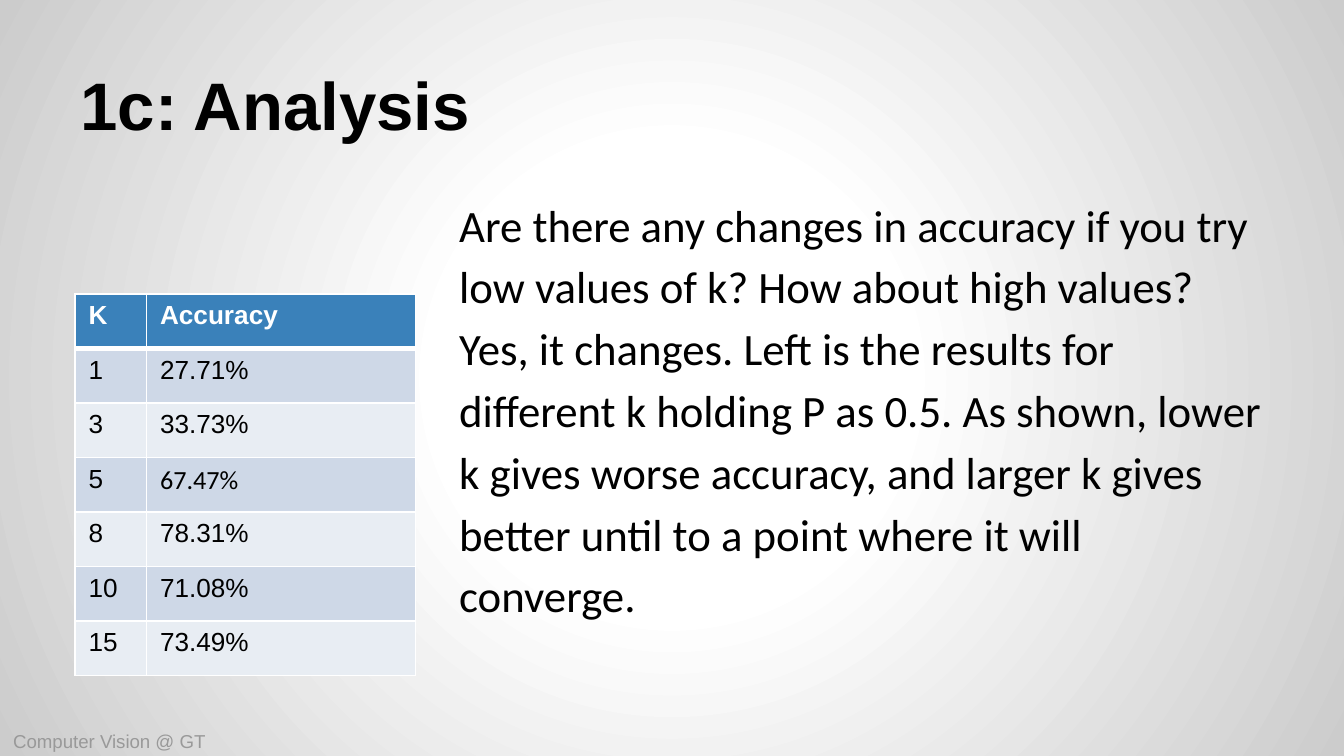
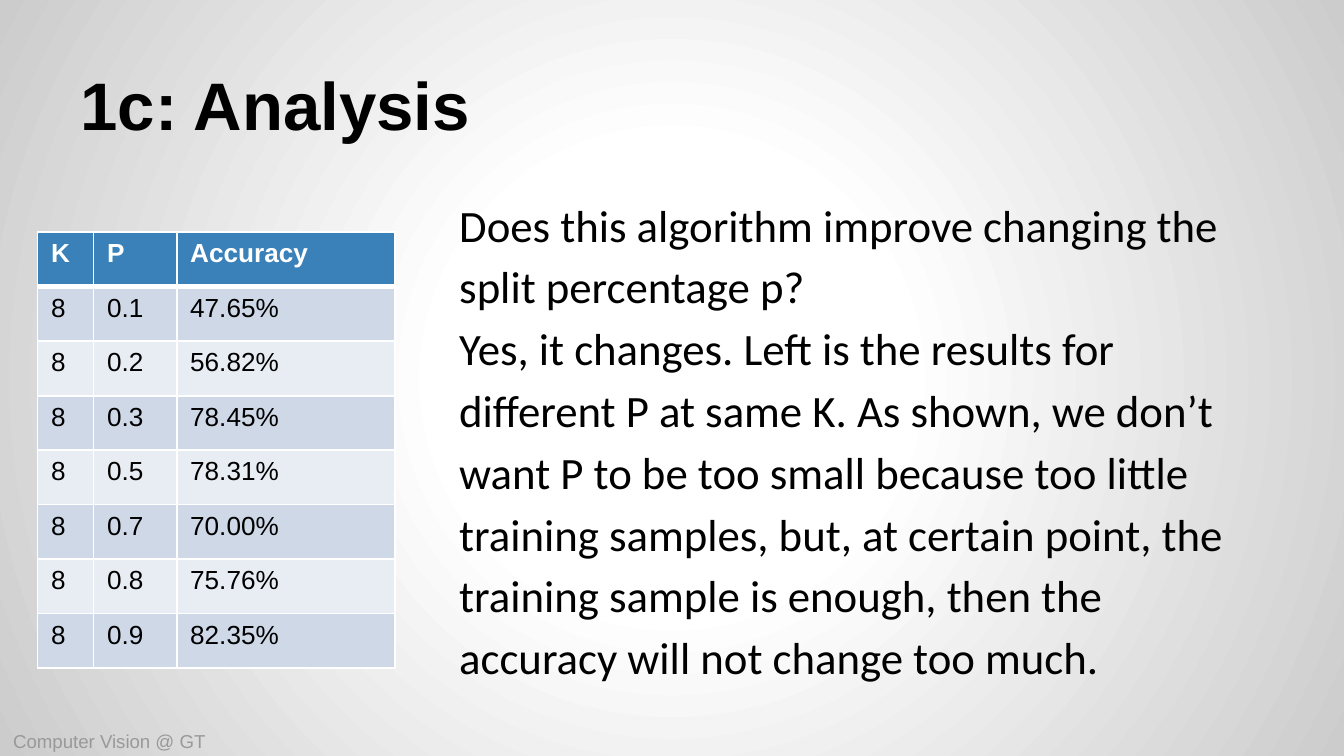
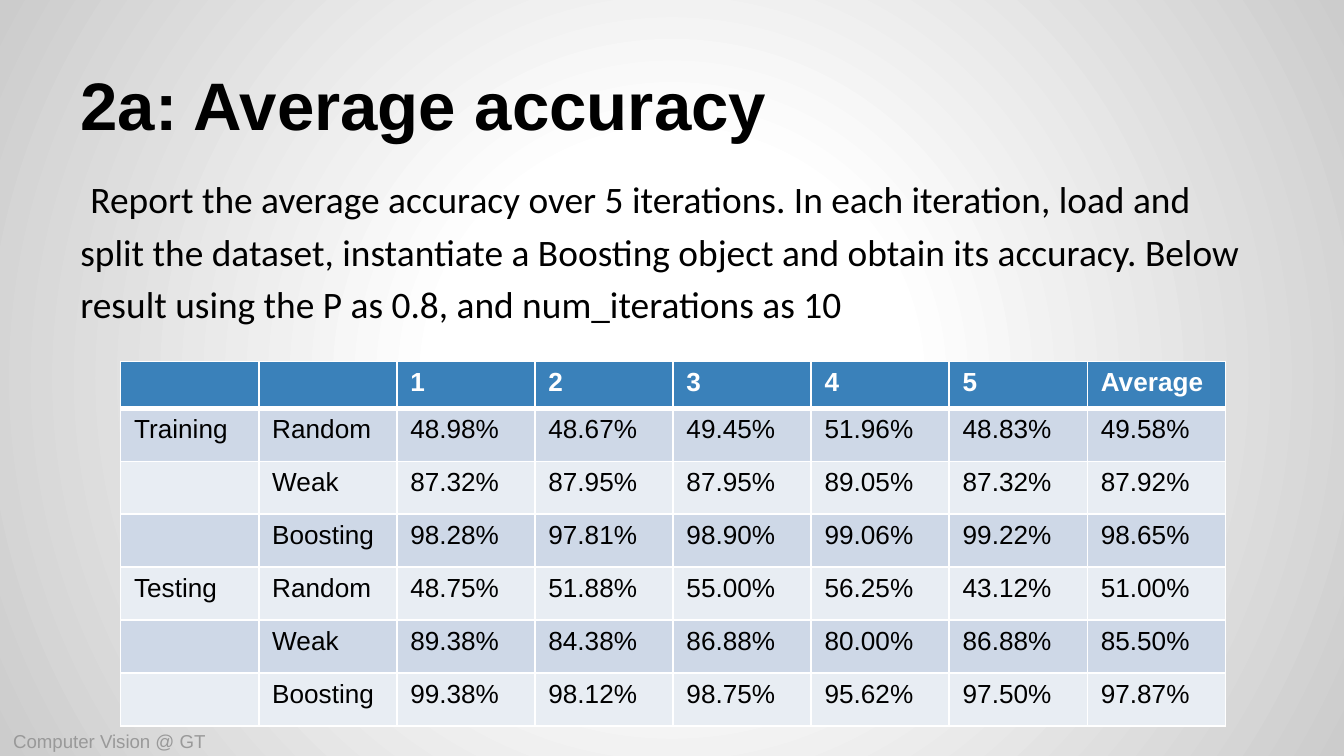
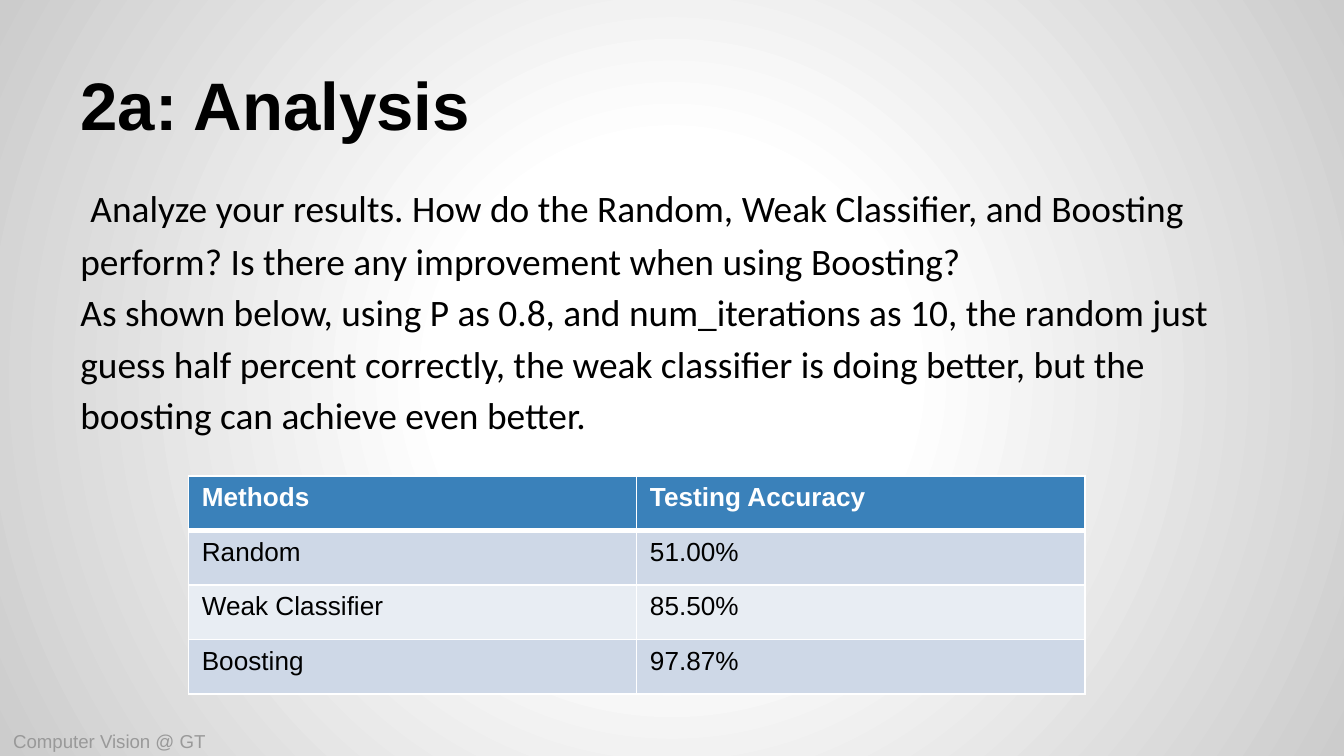
import pptx
import pptx.dml.color
import pptx.enum.text
import pptx.oxml
import pptx.oxml.ns
import pptx.util

Cm = pptx.util.Cm
Pt = pptx.util.Pt
RGBColor = pptx.dml.color.RGBColor
ANCHOR = pptx.enum.text.MSO_ANCHOR

BLACK = RGBColor(0x00, 0x00, 0x00)
WHITE = RGBColor(0xFF, 0xFF, 0xFF)
EDGE_GRAY = RGBColor(0xCC, 0xCC, 0xCC)
FOOTER_GRAY = RGBColor(0x99, 0x99, 0x99)
HEADER_BLUE = RGBColor(0x3A, 0x81, 0xBA)
BAND_DARK = RGBColor(0xCE, 0xD8, 0xE7)
BAND_LIGHT = RGBColor(0xE8, 0xED, 0xF3)

NAMESPACE = pptx.oxml.ns.nsdecls("a")


def set_attributes(target, values):
    for name, value in values.items():
        setattr(target, name, value)


class Deck:
    TITLE = {"name": "Arial", "size": Pt(36), "bold": True}
    FOOTER = {"name": "Arial", "size": Pt(10)}
    CELL = {"name": "Arial", "size": Pt(14), "bold": False}
    HEADER = {**CELL, "bold": True}
    FRAME = {
        "word_wrap": True,
        "margin_left": Cm(0.25),
        "margin_right": Cm(0.25),
        "margin_top": Cm(0.25),
        "margin_bottom": Cm(0.25),
    }

    def __init__(self):
        self.presentation = pptx.Presentation()
        set_attributes(
            self.presentation,
            {"slide_width": Cm(25.4), "slide_height": Cm(14.29)},
        )
        self.slide = None
        self.set_background()

    def set_background(self):
        master = self.presentation.slide_master
        master.background.fill.gradient()
        gradient = master.element.xpath(".//p:bg//a:gradFill")[0]
        stops = "".join(
            f'<a:gs pos="{position * 1000}"><a:srgbClr val="{color}"/></a:gs>'
            for position, color in ((0, WHITE), (30, WHITE), (100, EDGE_GRAY))
        )
        radial = pptx.oxml.parse_xml(
            f'<a:gradFill {NAMESPACE} rotWithShape="1"><a:gsLst>{stops}</a:gsLst>'
            '<a:path path="circle"><a:fillToRect l="50000" t="50000" '
            'r="50000" b="50000"/></a:path></a:gradFill>'
        )
        gradient.getparent().replace(gradient, radial)

    def add_slide(self, title):
        layout = self.presentation.slide_layouts[6]
        self.slide = self.presentation.slides.add_slide(layout)
        self.add_text(
            (1.27, 0.58, 23.85, 2.39), [[(title, self.TITLE)]], anchor=ANCHOR.BOTTOM
        )
        self.add_text(
            (0, 13.74, 7.14, 0.55),
            [[("Computer Vision @ GT", self.FOOTER)]],
            color=FOOTER_GRAY,
            anchor=ANCHOR.MIDDLE,
        )

    def add_run(self, paragraph, text, style, color):
        run = paragraph.add_run()
        run.text = text
        set_attributes(run.font, style)
        run.font.color.rgb = color

    def add_text(self, box, paragraphs, color=BLACK, anchor=ANCHOR.TOP, spacing=None):
        frame = self.slide.shapes.add_textbox(*map(Cm, box)).text_frame
        set_attributes(frame, {**self.FRAME, "vertical_anchor": anchor})
        for index, runs in enumerate(paragraphs):
            paragraph = frame.add_paragraph() if index else frame.paragraphs[0]
            paragraph.line_spacing = spacing
            for text, style in runs:
                self.add_run(paragraph, text, style, color)

    def add_body(self, box, paragraphs, size, lead=""):
        style = {"name": "Calibri", "size": Pt(size)}
        runs = [[(text, style)] for text in paragraphs]
        if lead:
            runs[0].insert(0, (lead, {**style, "size": Pt(24)}))
        self.add_text(box, runs, spacing=1.15)

    def add_borders(self, cell, top, bottom):
        properties = cell._tc.get_or_add_tcPr()
        widths = {"lnL": 1, "lnR": 1, "lnT": top, "lnB": bottom}
        for index, (side, width) in enumerate(widths.items()):
            line = pptx.oxml.parse_xml(
                f'<a:{side} {NAMESPACE} w="{Pt(width)}"><a:solidFill>'
                f'<a:srgbClr val="{WHITE}"/></a:solidFill></a:{side}>'
            )
            properties.insert(index, line)

    def add_table(self, left, top, widths, rows, heights=(1.03, 1.03), fonts=None):
        row_heights = [heights[0]] + [heights[1]] * (len(rows) - 1)
        table = self.slide.shapes.add_table(
            len(rows), len(widths), Cm(left), Cm(top),
            Cm(sum(widths)), Cm(sum(row_heights)),
        ).table
        for column, width in zip(table.columns, widths):
            column.width = Cm(width)
        for row, height in zip(table.rows, row_heights):
            row.height = Cm(height)
        for i, values in enumerate(rows):
            fill = HEADER_BLUE if i == 0 else BAND_DARK if i % 2 else BAND_LIGHT
            style, color = (self.CELL, BLACK) if i else (self.HEADER, WHITE)
            for j, value in enumerate(values):
                cell = table.cell(i, j)
                cell.fill.solid()
                cell.fill.fore_color.rgb = fill
                self.add_borders(cell, 3 if i == 1 else 1, 1 if i else 3)
                paragraph = cell.text_frame.paragraphs[0]
                if value:
                    font = (fonts or {}).get((i, j), style["name"])
                    self.add_run(paragraph, value, {**style, "name": font}, color)
                else:
                    paragraph._p.append(
                        pptx.oxml.parse_xml(f'<a:endParaRPr {NAMESPACE} sz="1400"/>')
                    )


SIDE_BODY = (8.43, 3.33, 15.7, 10.34)

deck = Deck()

deck.add_slide("1c: Analysis")
deck.add_body(
    SIDE_BODY,
    [
        "Are there any changes in accuracy if you try low values of k? "
        "How about high values?",
        "Yes, it changes. Left is the results for different k holding P as 0.5. "
        "As shown, lower k gives worse accuracy, and larger k gives better until "
        "to a point where it will converge.",
    ],
    24,
)
deck.add_table(
    1.42, 5.56, [1.35, 5.08],
    [
        ("K", "Accuracy"),
        ("1", "27.71%"),
        ("3", "33.73%"),
        ("5", "67.47%"),
        ("8", "78.31%"),
        ("10", "71.08%"),
        ("15", "73.49%"),
    ],
    fonts={(3, 1): "Calibri"},
)

deck.add_slide("1c: Analysis")
deck.add_body(
    SIDE_BODY,
    [
        "Does this algorithm improve changing the split percentage p?",
        "Yes, it changes. Left is the results for different P at same K. As shown, "
        "we don’t want P to be too small because too little training samples, but, "
        "at certain point, the training sample is enough, then the accuracy will "
        "not change too much.",
    ],
    24,
)
split_accuracy = {
    "0.1": "47.65%",
    "0.2": "56.82%",
    "0.3": "78.45%",
    "0.5": "78.31%",
    "0.7": "70.00%",
    "0.8": "75.76%",
    "0.9": "82.35%",
}
deck.add_table(
    0.71, 4.39, [1.06, 1.57, 4.13],
    [("K", "P", "Accuracy")] + [("8", *pair) for pair in split_accuracy.items()],
)

deck.add_slide("2a: Average accuracy")
deck.add_body(
    (1.27, 2.79, 22.86, 4.01),
    [
        "Report the average accuracy over 5 iterations. In each iteration, load and "
        "split the dataset, instantiate a Boosting object and obtain its accuracy. "
        "Below result using the P as 0.8, and num_iterations as 10",
    ],
    20,
    lead=" ",
)
deck.add_table(
    2.28, 6.83, [2.61] * 8,
    [
        ("", "", "1", "2", "3", "4", "5", "Average"),
        ("Training", "Random", "48.98%", "48.67%", "49.45%", "51.96%", "48.83%", "49.58%"),
        ("", "Weak", "87.32%", "87.95%", "87.95%", "89.05%", "87.32%", "87.92%"),
        ("", "Boosting", "98.28%", "97.81%", "98.90%", "99.06%", "99.22%", "98.65%"),
        ("Testing", "Random", "48.75%", "51.88%", "55.00%", "56.25%", "43.12%", "51.00%"),
        ("", "Weak", "89.38%", "84.38%", "86.88%", "80.00%", "86.88%", "85.50%"),
        ("", "Boosting", "99.38%", "98.12%", "98.75%", "95.62%", "97.50%", "97.87%"),
    ],
    heights=(0.89, 1),
)

deck.add_slide("2a: Analysis")
deck.add_body(
    (1.27, 2.95, 22.86, 4.29),
    [
        "Analyze your results. How do the Random, Weak Classifier, and Boosting "
        "perform? Is there any improvement when using Boosting?",
        "As shown below, using P as 0.8, and num_iterations as 10, the random just "
        "guess half percent correctly, the weak classifier is doing better, but the "
        "boosting can achieve even better.",
    ],
    20,
    lead=" ",
)
deck.add_table(
    3.56, 9, [8.47] * 2,
    [
        ("Methods", "Testing Accuracy"),
        ("Random", "51.00%"),
        ("Weak Classifier", "85.50%"),
        ("Boosting", "97.87%"),
    ],
)

deck.presentation.save("out.pptx")
